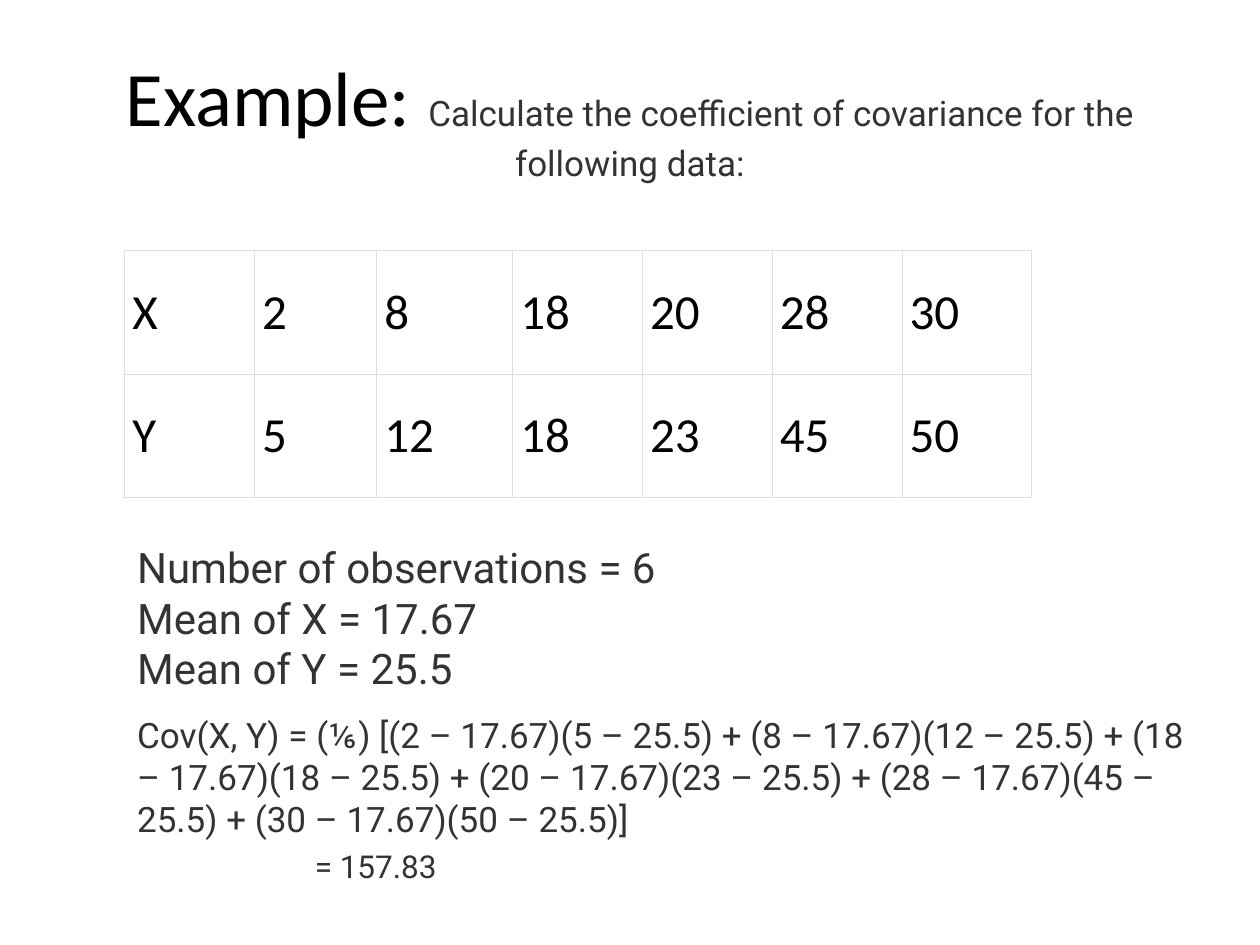
import pptx
import pptx.util
import pptx.dml.color
import pptx.enum.text
import pptx.oxml
import pptx.oxml.ns

Inches, Pt = pptx.util.Inches, pptx.util.Pt
ANCHOR, ALIGN = pptx.enum.text.MSO_ANCHOR, pptx.enum.text.PP_ALIGN

# Content
COLORS = {"black": "000000", "body": "333333", "border": "DDDDDD", "white": "FFFFFF"}
TITLE = "Example: "
TASK = "Calculate the coefficient of covariance for the following data:"
DATA = [("X", [2, 8, 18, 20, 28, 30]), ("Y", [5, 12, 18, 23, 45, 50])]
MEAN_X, MEAN_Y = 17.67, 25.5
TERMS = " + ".join(f"({x} – {MEAN_X})({y} – {MEAN_Y})" for x, y in zip(DATA[0][1], DATA[1][1]))
NOTES = [  # left, top, width, height, size, lines
    (0.99, 4.25, 6.95, 1.31, 24,
     ["Number of observations = 6", f"Mean of X = {MEAN_X}", f"Mean of Y = {MEAN_Y}"]),
    (0.99, 5.61, 8.54, 1.45, 20, [f"Cov(X, Y) = (⅙) [{TERMS}]"]),
    (2.4, 6.67, 5, 0.4, 18, ["= 157.83"]),
]
TABLE_LEFT, TABLE_TOP, ROW_HEIGHT, CELL_MARGIN = 0.99, 1.99, 0.98, 0.06
COL_WIDTHS = [1.03, 0.97, 1.08] + [1.03] * 4


def add_run(p, text, size=20, font="Roboto", color="body"):
    r = p.add_run()
    r.text = text
    r.font.size = Pt(size)
    r.font.name = font
    r.font.color.rgb = pptx.dml.color.RGBColor.from_string(COLORS[color])


def add_borders(cell, color, width):
    props = cell._tc.get_or_add_tcPr()
    for i, side in enumerate(("lnL", "lnR", "lnT", "lnB")):
        props.insert(i, pptx.oxml.parse_xml(
            f'<a:{side} {pptx.oxml.ns.nsdecls("a")} w="{Pt(width)}"><a:solidFill>'
            f'<a:srgbClr val="{COLORS[color]}"/></a:solidFill></a:{side}>'))


prs = pptx.Presentation()
prs.slide_width, prs.slide_height = Inches(10), Inches(7.5)
s = prs.slides.add_slide(prs.slide_layouts[5])

# Title
title = s.shapes.title
title.left, title.top, title.width, title.height = map(Inches, (0.5, 0.3, 9, 1.25))
tf = title.text_frame
tf.vertical_anchor = ANCHOR.MIDDLE
p = tf.paragraphs[0]
p.alignment = ALIGN.CENTER
add_run(p, TITLE, size=44, font="Calibri", color="black")
add_run(p, TASK)

# Data table
table = s.shapes.add_table(
    len(DATA), len(COL_WIDTHS), Inches(TABLE_LEFT), Inches(TABLE_TOP),
    Inches(sum(COL_WIDTHS)), Inches(ROW_HEIGHT * len(DATA))).table
table.first_row = table.horz_banding = False
for col, width in zip(table.columns, COL_WIDTHS):
    col.width = Inches(width)
for i, (name, values) in enumerate(DATA):
    table.rows[i].height = Inches(ROW_HEIGHT)
    for j, value in enumerate([name] + values):
        cell = table.cell(i, j)
        cell.vertical_anchor = ANCHOR.MIDDLE
        cell.margin_left = cell.margin_right = Inches(CELL_MARGIN)
        cell.margin_top = cell.margin_bottom = Inches(CELL_MARGIN)
        cell.fill.solid()
        cell.fill.fore_color.rgb = pptx.dml.color.RGBColor.from_string(COLORS["white"])
        add_borders(cell, "border", 0.5)
        add_run(cell.text_frame.paragraphs[0], str(value), size=28, font="Calibri", color="black")

# Worked solution
for left, top, width, height, size, lines in NOTES:
    tf = s.shapes.add_textbox(*map(Inches, (left, top, width, height))).text_frame
    tf.word_wrap = True
    tf.auto_size = pptx.enum.text.MSO_AUTO_SIZE.SHAPE_TO_FIT_TEXT
    for i, line in enumerate(lines):
        p = tf.add_paragraph() if i else tf.paragraphs[0]
        add_run(p, line, size=size)

prs.save("out.pptx")
